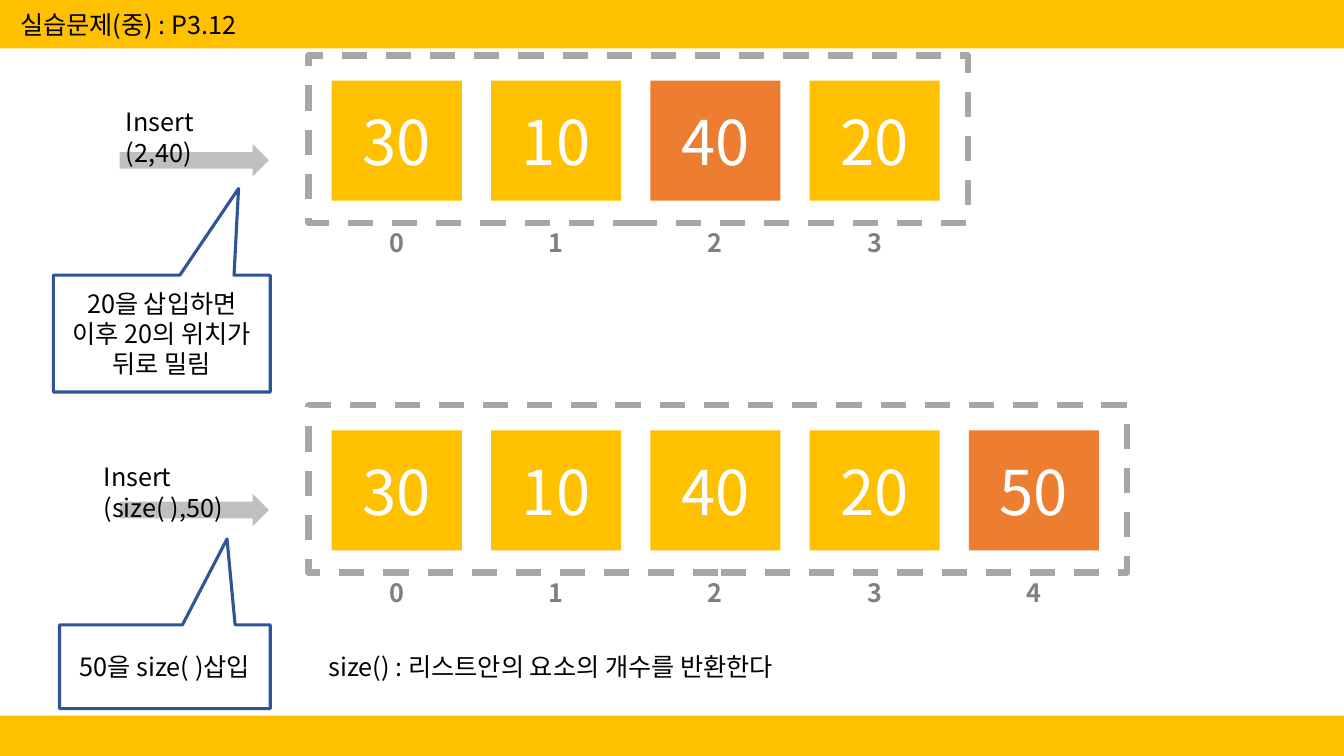
from dataclasses import dataclass

from pptx import Presentation
from pptx.dml.color import RGBColor
from pptx.enum.dml import MSO_LINE
from pptx.enum.shapes import MSO_SHAPE
from pptx.enum.text import MSO_ANCHOR, PP_ALIGN
from pptx.oxml.ns import qn
from pptx.util import Inches, Pt

RECTANGLE = MSO_SHAPE.RECTANGLE
RIGHT_ARROW = MSO_SHAPE.RIGHT_ARROW
CALLOUT = MSO_SHAPE.RECTANGULAR_CALLOUT
DASH = MSO_LINE.DASH
TOP, MIDDLE = MSO_ANCHOR.TOP, MSO_ANCHOR.MIDDLE
LEFT, CENTER = PP_ALIGN.LEFT, PP_ALIGN.CENTER


@dataclass(frozen=True)
class Theme:
    font: str = "Noto Sans CJK KR"
    body_size: int = 18
    cell_size: int = 44
    yellow: str = "FFC000"
    orange: str = "ED7D31"
    white: str = "FFFFFF"
    black: str = "000000"
    arrow: str = "BFBFBF"
    frame: str = "A6A6A6"
    index: str = "808080"
    callout: str = "2F5597"


@dataclass(frozen=True)
class Box:
    """A region in inches; inside() gives a region relative to it."""
    left: float
    top: float
    width: float
    height: float

    def inside(self, left, top, width, height):
        return Box(self.left + left, self.top + top, width, height)

    def lengths(self):
        return [Inches(n) for n in (self.left, self.top, self.width, self.height)]


THEME = Theme()
SLIDE = Box(0, 0, 13.33, 7.5)
ROW = 3.47             # from one list state to the next
PITCH = 1.58           # from one cell to the next
CELL_WIDTH, CELL_HEIGHT = 1.29, 1.19
FRAME_LEFT, FRAME_HEIGHT = 3.06, 1.66
FRAME_PAD = 0.23
CALLOUT_RIGHT = 2.68
LINE_HEIGHT = 0.4


def write(shape, text, size=THEME.body_size, color=THEME.black, bold=False,
          align=LEFT, anchor=TOP, inset=0.1):
    frame = shape.text_frame
    frame.word_wrap = True
    frame.vertical_anchor = anchor
    frame.margin_left = frame.margin_right = Inches(inset)
    frame.margin_top = frame.margin_bottom = Inches(0.05)
    para = frame.paragraphs[0]
    para.alignment = align
    span = para.add_run()
    span.text = text
    span.font.name = THEME.font
    span.font.size = Pt(size)
    span.font.bold = bold
    span.font.color.rgb = RGBColor.from_string(color)
    east_asian = span.font.fill._xPr.makeelement(qn("a:ea"), {"typeface": THEME.font})
    span.font.fill._xPr.find(qn("a:latin")).addnext(east_asian)


def add_text(page, box, text, **style):
    write(page.shapes.add_textbox(*box.lengths()), text, **style)


def add_block(page, box, fill, kind=RECTANGLE, line=None, line_width=1, dash=None):
    block = page.shapes.add_shape(kind, *box.lengths())
    block.shadow.inherit = False
    block.fill.solid()
    block.fill.fore_color.rgb = RGBColor.from_string(fill)
    if line:
        block.line.color.rgb = RGBColor.from_string(line)
        block.line.width = Pt(line_width)
        block.line.dash_style = dash
    else:
        block.line.fill.background()
    return block


def draw_bands(page, box, title):
    # Yellow bands at the top and the foot
    add_block(page, box.inside(0, 0, box.width, 0.48), THEME.yellow)
    add_block(page, box.inside(0, box.height - 0.4, box.width, 0.4), THEME.yellow)
    # Title, brought in front of the top band
    heading = page.shapes.title
    heading.left, heading.top, heading.width, heading.height = box.inside(
        0.1, 0.04, box.width / 2, LINE_HEIGHT).lengths()
    write(heading, title, anchor=MIDDLE)
    heading.element.getparent().append(heading.element)


def draw_list(page, box, values, inserted):
    # Dashed frame
    add_block(page, box, THEME.white, line=THEME.frame, line_width=4.5, dash=DASH)
    # Cells with their indexes below
    for index, value in enumerate(values):
        left = FRAME_PAD + index * PITCH
        cell = add_block(page, box.inside(left, 0.25, CELL_WIDTH, CELL_HEIGHT),
                         THEME.orange if index == inserted else THEME.yellow)
        write(cell, str(value), size=THEME.cell_size, color=THEME.white,
              align=CENTER, anchor=MIDDLE)
        add_text(page, box.inside(left, box.height, CELL_WIDTH, LINE_HEIGHT),
                 str(index), color=THEME.index, bold=True, align=CENTER)


def draw_call(page, box, call, call_box, note, note_size, tip):
    # Arrow with the call written over it
    add_block(page, box.inside(1.18, 0.86, 1.5, 0.36), THEME.arrow,
              kind=RIGHT_ARROW, line=THEME.white)
    add_text(page, box.inside(*call_box, 0.68), call)
    # Callout that explains the call
    width, height = note_size
    callout = add_block(page, box.inside(CALLOUT_RIGHT - width, 2.18, width, height),
                        THEME.white, kind=CALLOUT, line=THEME.callout, line_width=2.25)
    callout.adjustments[0], callout.adjustments[1] = tip
    write(callout, note, align=CENTER, anchor=MIDDLE, inset=0.08)


STATES = [
    dict(values=[30, 10, 40, 20], inserted=2,
         call="Insert (2,40)", call_box=(1.15, 0.46, 1.2),
         note="20을 삽입하면 이후 20의 위치가 뒤로 밀림",
         note_size=(2.15, 1.16), tip=(0.354, -1.241)),
    dict(values=[30, 10, 40, 20, 50], inserted=4,
         call="Insert (size( ),50)", call_box=(0.93, 0.51, 1.45),
         note="50을 size( )삽입",
         note_size=(2.09, 0.83), tip=(0.295, -1.528)),
]


def draw_state(page, box, values, inserted, **call):
    frame_width = len(values) * PITCH + 0.22
    draw_list(page, box.inside(FRAME_LEFT, 0, frame_width, FRAME_HEIGHT),
              values, inserted)
    draw_call(page, box, **call)


def main():
    deck = Presentation()
    deck.slide_width, deck.slide_height = SLIDE.lengths()[2:]
    page = deck.slides.add_slide(deck.slide_layouts.get_by_name("Title Only"))
    draw_bands(page, SLIDE, "실습문제(중) : P3.12")
    for row, state in enumerate(STATES):
        draw_state(page, SLIDE.inside(0, 0.55 + row * ROW, SLIDE.width, ROW), **state)
    # Remark on size()
    add_text(page, SLIDE.inside(3.16, 6.41, 5.05, LINE_HEIGHT),
             "size() : 리스트안의 요소의 개수를 반환한다")
    deck.save("out.pptx")


if __name__ == "__main__":
    main()
